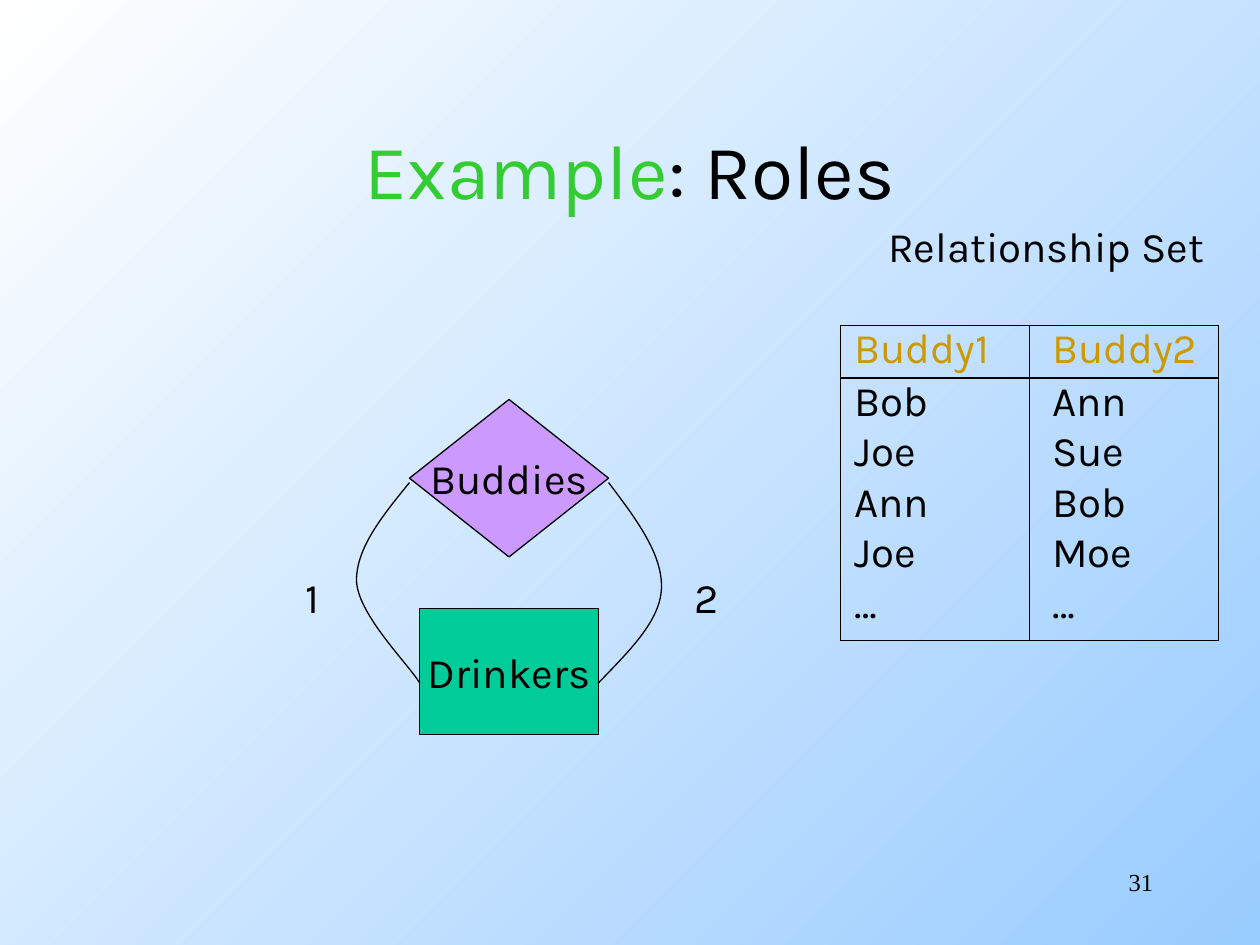
from lxml.etree import Element, SubElement
from pptx import Presentation
from pptx.dml.color import RGBColor
from pptx.enum.shapes import MSO_SHAPE
from pptx.enum.text import MSO_ANCHOR, PP_ALIGN
from pptx.oxml.ns import qn
from pptx.util import Inches, Pt

BLACK = RGBColor(0x00, 0x00, 0x00)
WHITE = RGBColor(0xFF, 0xFF, 0xFF)
SKY = RGBColor(0x99, 0xCC, 0xFF)
GREEN = RGBColor(0x33, 0xCC, 0x33)
TEAL = RGBColor(0x00, 0xCC, 0x99)
LILAC = RGBColor(0xCC, 0x99, 0xFF)
GOLD = RGBColor(0xCC, 0x99, 0x00)
BODY_FONT = "Karla"
NUMBER_FONT = "Times New Roman"
LINE_WIDTH = Pt(0.75)

BUDDY_ROWS = [
    ("Buddy1", "Buddy2"),
    ("Bob", "Ann"),
    ("Joe", "Sue"),
    ("Ann", "Bob"),
    ("Joe", "Moe"),
    ("…", "…"),
]


def style_font(font, size=24, color=BLACK, name=BODY_FONT):
    """Set the size, colour and typeface of a font."""
    font.size = Pt(size)
    font.color.rgb = color
    font.name = name


def add_label(slide, box, text, size=24, align=PP_ALIGN.LEFT, name=BODY_FONT):
    """Add a one-line text box and return its paragraph."""
    text_frame = slide.shapes.add_textbox(*map(Inches, box)).text_frame
    text_frame.word_wrap = True
    text_frame.text = text
    paragraph = text_frame.paragraphs[0]
    paragraph.alignment = align
    for run in paragraph.runs:
        style_font(run.font, size, name=name)
    return paragraph


def add_background(slide):
    """Fill the slide with a diagonal gradient."""
    fill = slide.background.fill
    fill.gradient()
    fill.gradient_angle = 315
    for stop, color in zip(fill.gradient_stops, (WHITE, SKY)):
        stop.color.rgb = color


def add_title(slide, box):
    """Add the title with its first word in green."""
    paragraph = add_label(slide, box, "Example", 44, PP_ALIGN.CENTER)
    paragraph.runs[0].font.color.rgb = GREEN
    run = paragraph.add_run()
    run.text = ": Roles"
    style_font(run.font, 44)


def add_node(slide, kind, box, text, color):
    """Add a filled diagram node with centred text."""
    shape = slide.shapes.add_shape(kind, *map(Inches, box))
    shape.shadow.inherit = False
    shape.fill.solid()
    shape.fill.fore_color.rgb = color
    shape.line.color.rgb = BLACK
    shape.line.width = LINE_WIDTH
    text_frame = shape.text_frame
    text_frame.word_wrap = False
    text_frame.vertical_anchor = MSO_ANCHOR.MIDDLE
    text_frame.text = text
    paragraph = text_frame.paragraphs[0]
    paragraph.alignment = PP_ALIGN.CENTER
    style_font(paragraph.runs[0].font)


def add_curve(slide, points):
    """Add an open Bézier curve from a start and triples of control points."""
    start, *controls = [(Inches(x), Inches(y)) for x, y in points]
    builder = slide.shapes.build_freeform(*start)
    builder.add_line_segments(controls, close=False)
    shape = builder.convert_to_shape()
    shape.shadow.inherit = False
    shape.fill.background()
    shape.line.color.rgb = BLACK
    shape.line.width = LINE_WIDTH
    segments = list(shape.element.iter(qn("a:lnTo")))
    for first in range(0, len(segments), 3):
        curve = Element(qn("a:cubicBezTo"))
        segments[first].addprevious(curve)
        for segment in segments[first:first + 3]:
            curve.append(segment[0])
            segment.getparent().remove(segment)


def add_diagram(slide, left, top):
    """Draw the Buddies relationship joined twice to the Drinkers entity."""
    add_node(slide, MSO_SHAPE.RECTANGLE, (left + 1, top + 1.66, 1.42, 1), "Drinkers", TEAL)
    add_node(slide, MSO_SHAPE.DIAMOND, (left + 0.92, top, 1.58, 1.25), "Buddies", LILAC)
    for role, offset in (("1", 0), ("2", 3.08)):
        add_label(slide, (left + offset, top + 1.32, 0.39, 0.5), role)
    role_curves = [
        [(0.92, 0.66), (0.7, 0.93), (0.49, 1.19), (0.5, 1.45),
         (0.52, 1.72), (0.92, 2.11), (1, 2.25)],
        [(2.5, 0.66), (2.72, 0.95), (2.93, 1.23), (2.92, 1.5),
         (2.91, 1.76), (2.66, 2), (2.42, 2.25)],
    ]
    for curve in role_curves:
        add_curve(slide, [(left + x, top + y) for x, y in curve])


def set_borders(cell, edges):
    """Draw black lines on the given cell edges and none on the others."""
    properties = cell._tc.get_or_add_tcPr()
    for position, edge in enumerate(("lnL", "lnR", "lnT", "lnB")):
        line = Element(qn(f"a:{edge}"), w=str(LINE_WIDTH))
        if edge in edges:
            fill = SubElement(line, qn("a:solidFill"))
            SubElement(fill, qn("a:srgbClr"), val=str(BLACK))
        else:
            SubElement(line, qn("a:noFill"))
        properties.insert(position, line)


def add_relationship_set(slide, left, top):
    """Add the heading and the two-column table of buddies."""
    add_label(slide, (left + 0.28, top, 2.75, 0.5), "Relationship Set")
    frame = slide.shapes.add_table(
        len(BUDDY_ROWS), 2, Inches(left), Inches(top + 0.88), Inches(3), Inches(2.5))
    table = frame.table
    table.first_row = False
    table.horz_banding = False
    last = len(BUDDY_ROWS) - 1
    for row, names in enumerate(BUDDY_ROWS):
        table.rows[row].height = Inches({0: 0.42, last: 0.48}.get(row, 0.4))
        for column, name in enumerate(names):
            cell = table.cell(row, column)
            cell.fill.background()
            cell.margin_left = Inches((0.11, 0.18)[column])
            cell.margin_right = cell.margin_top = cell.margin_bottom = 0
            cell.text = name
            style_font(cell.text_frame.paragraphs[0].runs[0].font,
                       color=BLACK if row else GOLD)
            edges = {"lnL", "lnR"}
            if row <= 1:
                edges.add("lnT")
            if row in (0, last):
                edges.add("lnB")
            set_borders(cell, edges)


def main():
    """Build and save the slide."""
    presentation = Presentation()
    presentation.slide_width = Inches(10)
    presentation.slide_height = Inches(7.5)
    slide = presentation.slides.add_slide(presentation.slide_layouts[6])
    add_background(slide)
    add_title(slide, (0.75, 0.92, 8.5, 0.8))
    add_diagram(slide, 2.33, 3.17)
    add_relationship_set(slide, 6.67, 1.7)
    add_label(slide, (7.17, 6.83, 2.08, 0.5), "31", 14, PP_ALIGN.RIGHT, NUMBER_FONT)
    presentation.save("out.pptx")


if __name__ == "__main__":
    main()
